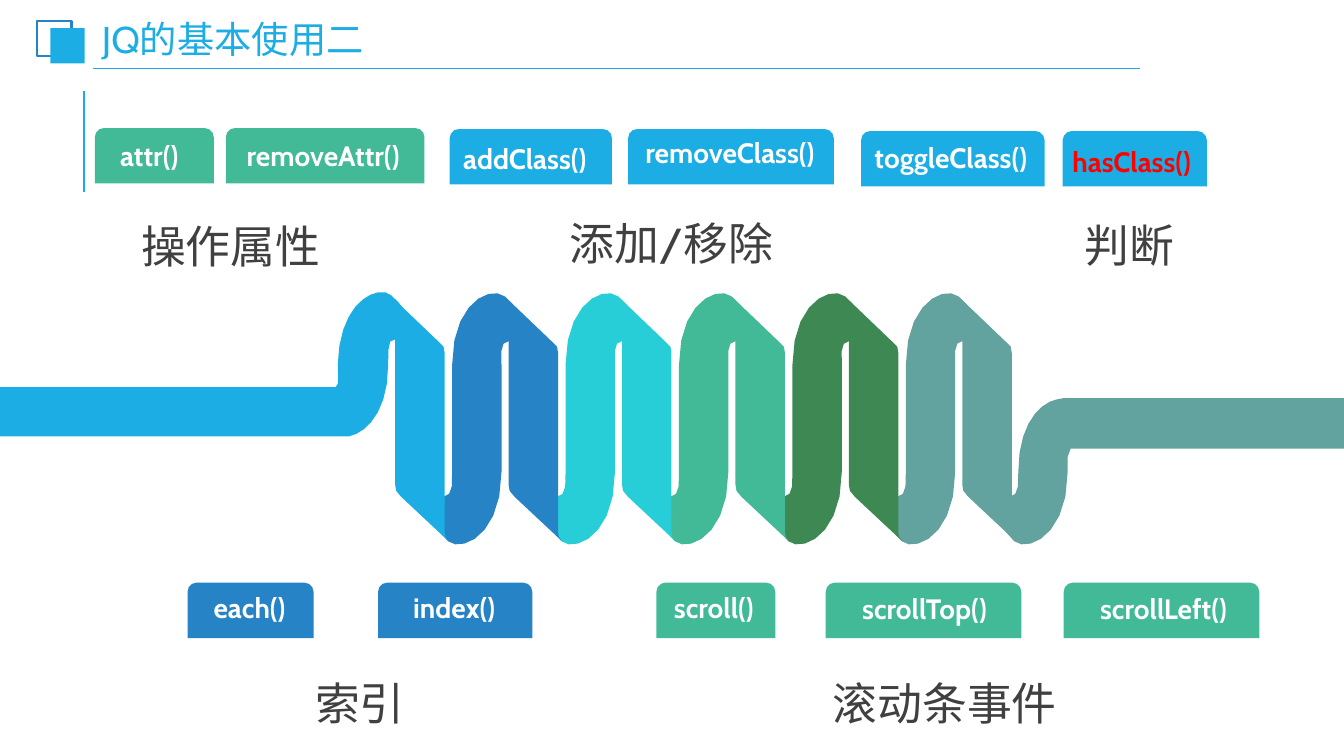
import math
import pptx
import pptx.dml.color
import pptx.enum.shapes
import pptx.enum.text
import pptx.util
from dataclasses import dataclass
from lxml import etree
from pptx.util import Inches


@dataclass(frozen=True)
class Theme:
    font: str = "Cabin"
    sky: str = "1CADE4"
    blue: str = "2683C6"
    cyan: str = "27CED7"
    mint: str = "42BA97"
    forest: str = "3E8853"
    slate: str = "62A39F"
    ink: str = "404040"
    white: str = "FFFFFF"
    alert: str = "FF0000"
    title_size: float = 26.6
    caption_size: float = 32
    tag_size: float = 20


def rgb(value):
    return pptx.dml.color.RGBColor.from_string(value)


def flatten(path, steps_per_inch=8):
    points = [path[0]]
    for segment in path[1:]:
        if len(segment) == 2:
            points.append(segment)
            continue
        x0, y0 = points[-1]
        x1, y1, x2, y2, x3, y3 = segment
        steps = math.ceil(math.dist((x0, y0), (x3, y3)) * steps_per_inch)
        for step in range(1, steps + 1):
            t = step / steps
            u = 1 - t
            a, b, c, d = u ** 3, 3 * u * u * t, 3 * u * t * t, t ** 3
            points.append((a * x0 + b * x1 + c * x2 + d * x3,
                           a * y0 + b * y1 + c * y2 + d * y3))
    return points


class SlideBuilder:
    def __init__(self, slide, theme):
        self.slide = slide
        self.theme = theme

    def line(self, x1, y1, x2, y2, width):
        rule = self.slide.shapes.add_connector(
            pptx.enum.shapes.MSO_CONNECTOR.STRAIGHT,
            Inches(x1), Inches(y1), Inches(x2), Inches(y2))
        rule.line.color.rgb = rgb(self.theme.sky)
        rule.line.width = pptx.util.Pt(width)
        etree.SubElement(rule._element.spPr, pptx.oxml.ns.qn("a:effectLst"))

    def shape(self, kind, left, top, width, height, fill=None, outline=None):
        block = self.slide.shapes.add_shape(
            kind, Inches(left), Inches(top), Inches(width), Inches(height))
        self.paint(block, fill, outline)

    def paint(self, block, fill, outline=None):
        block.shadow.inherit = False
        if fill:
            block.fill.solid()
            block.fill.fore_color.rgb = rgb(fill)
        else:
            block.fill.background()
        if outline:
            block.line.color.rgb = rgb(outline)
            block.line.width = pptx.util.Pt(1.5)
        else:
            block.line.fill.background()

    def ribbon(self, path, fill, left=0, top=0):
        points = [(Inches(left + x), Inches(top + y)) for x, y in flatten(path)]
        outline = self.slide.shapes.build_freeform(*points[0])
        outline.add_line_segments(points[1:], close=True)
        self.paint(outline.convert_to_shape(), fill)

    def text(self, words, left, top, width, height, size, color,
             bold=False, spacing=None, centred=True):
        box = self.slide.shapes.add_textbox(
            Inches(left), Inches(top), Inches(width), Inches(height))
        frame = box.text_frame
        frame.word_wrap = True
        frame.text = words
        paragraph = frame.paragraphs[0]
        if centred:
            paragraph.alignment = pptx.enum.text.PP_ALIGN.CENTER
        if spacing:
            paragraph.line_spacing = spacing
        font = paragraph.runs[0].font
        font.name = self.theme.font
        font.size = pptx.util.Pt(size)
        font.bold = bold
        font.color.rgb = rgb(color)
        return frame

    def title(self, words):
        frame = self.text(words, 0.94, 0.23, 3.93, 0.37, self.theme.title_size,
                          self.theme.sky, spacing=0.9, centred=False)
        frame.vertical_anchor = pptx.enum.text.MSO_ANCHOR.MIDDLE
        frame.margin_left = frame.margin_right = Inches(0.07)
        frame.margin_top = frame.margin_bottom = Inches(0.04)

    def tag(self, words, left, top, width, shift, drop, fill, color):
        self.shape(pptx.enum.shapes.MSO_SHAPE.ROUND_2_SAME_RECTANGLE,
                   left, top, width, 0.55, fill)
        self.text(words, left + shift, top + drop, width, 0.44,
                  self.theme.tag_size, color, bold=True)

    def caption(self, words, left, top):
        self.text(words, left, top, 2.62, 0.75, self.theme.caption_size,
                  self.theme.ink, spacing=1.3)


CREST_LEFT, CREST_TOP, PITCH = 3.88, 2.94, 1.125

RISE = [
    (-0.03, 1.74), (-0.03, 0.69), (-0.03, 0.57, -0.04, 0.49, -0.01, 0.47),
    (0.09, 0.38, 0.18, 0.42, 0.2, 0.36), (0.23, 0.26, 0.09, 0.07, 0, 0),
    (-0.13, -0.11, -0.52, 0.05, -0.52, 0.68), (-0.52, 1.74),
    (-0.52, 1.86, -0.52, 1.94, -0.55, 1.96), (-0.64, 2.05, -0.74, 2.01, -0.76, 2.07),
    (-0.78, 2.17, -0.64, 2.35, -0.56, 2.43), (-0.43, 2.54, -0.03, 2.38, -0.03, 1.74),
]
FALL = [
    (0, 0), (0.03, 0.04), (0.04, 0.09), (0.04, 1.87), (0.05, 1.93), (0.1, 1.99),
    (0.57, 2.43), (0.54, 2.39), (0.53, 2.34), (0.53, 0.56), (0.52, 0.5), (0.47, 0.45),
]
INLET = [
    (3.75, 2.9), (3.8, 2.89, 3.85, 2.9, 3.88, 2.93), (3.97, 3, 4.11, 3.19, 4.08, 3.28),
    (4.06, 3.35, 3.97, 3.3, 3.87, 3.39), (3.85, 3.42, 3.85, 3.5, 3.85, 3.62),
    (3.85, 4.1, 3.62, 4.3, 3.46, 4.33), (0, 4.33), (0, 3.84), (3.33, 3.84),
    (3.35, 3.81), (3.36, 3.77, 3.35, 3.7, 3.35, 3.62),
    (3.36, 3.14, 3.58, 2.93, 3.75, 2.9),
]
OUTLET = [
    (10.55, 3.95), (13.33, 3.95), (13.33, 4.45), (10.62, 4.45),
    (10.58, 4.48, 10.59, 4.56, 10.59, 4.68), (10.59, 5.32, 10.19, 5.48, 10.06, 5.37),
    (9.98, 5.29, 9.84, 5.11, 9.87, 5.01), (9.89, 4.95, 9.98, 4.99, 10.07, 4.9),
    (10.1, 4.88, 10.1, 4.8, 10.1, 4.68), (10.1, 4.2, 10.32, 3.99, 10.49, 3.96),
]


def main():
    deck = pptx.Presentation()
    deck.slide_width, deck.slide_height = Inches(13.33), Inches(7.5)
    theme = Theme()
    page = SlideBuilder(deck.slides.add_slide(deck.slide_layouts[6]), theme)

    page.line(0.83, 1.9, 0.83, 0.9, 1.5)
    page.line(0.92, 0.68, 11.31, 0.68, 1.25)
    square = pptx.enum.shapes.MSO_SHAPE.RECTANGLE
    page.shape(square, 0.37, 0.21, 0.34, 0.35, outline=theme.blue)
    page.shape(square, 0.5, 0.28, 0.34, 0.35, fill=theme.sky)
    page.title("JQ的基本使用二")

    coils = [theme.sky, theme.blue, theme.cyan, theme.mint, theme.forest, theme.slate]
    page.ribbon(OUTLET, theme.slate)
    for index, color in reversed(list(enumerate(coils))):
        crest = CREST_LEFT + index * PITCH
        if index:
            page.ribbon(RISE, color, crest, CREST_TOP)
        else:
            page.ribbon(INLET, color)
        page.ribbon(FALL, color, crest, CREST_TOP)

    for words, left, top, width, shift, drop, fill, color in [
        ("attr()", 0.94, 1.27, 1.18, -0.05, 0.05, theme.mint, theme.white),
        ("removeAttr()", 2.24, 1.27, 1.97, -0.02, 0.05, theme.mint, theme.white),
        ("addClass()", 4.46, 1.28, 1.61, -0.06, 0.07, theme.sky, theme.white),
        ("removeClass()", 6.23, 1.28, 2.04, -0.01, 0.02, theme.sky, theme.white),
        ("toggleClass()", 8.54, 1.3, 1.82, -0.02, 0.04, theme.sky, theme.white),
        ("hasClass()", 10.54, 1.3, 1.43, -0.03, 0.08, theme.sky, theme.alert),
        ("each()", 1.86, 5.78, 1.25, -0.01, 0.03, theme.blue, theme.white),
        ("index()", 3.75, 5.78, 1.53, -0.01, 0.03, theme.blue, theme.white),
        ("scroll()", 6.51, 5.78, 1.18, -0.02, 0.03, theme.mint, theme.white),
        ("scrollTop()", 8.19, 5.78, 1.94, 0.01, 0.04, theme.mint, theme.white),
        ("scrollLeft()", 10.55, 5.78, 1.94, 0.02, 0.04, theme.mint, theme.white),
    ]:
        page.tag(words, left, top, width, shift, drop, fill, color)

    for words, left, top in [
        ("操作属性", 0.98, 1.96),
        ("添加/移除", 5.35, 1.93),
        ("判断", 9.89, 1.95),
        ("索引", 2.26, 6.49),
        ("滚动条事件", 8.06, 6.49),
    ]:
        page.caption(words, left, top)

    deck.save("out.pptx")


if __name__ == "__main__":
    main()
